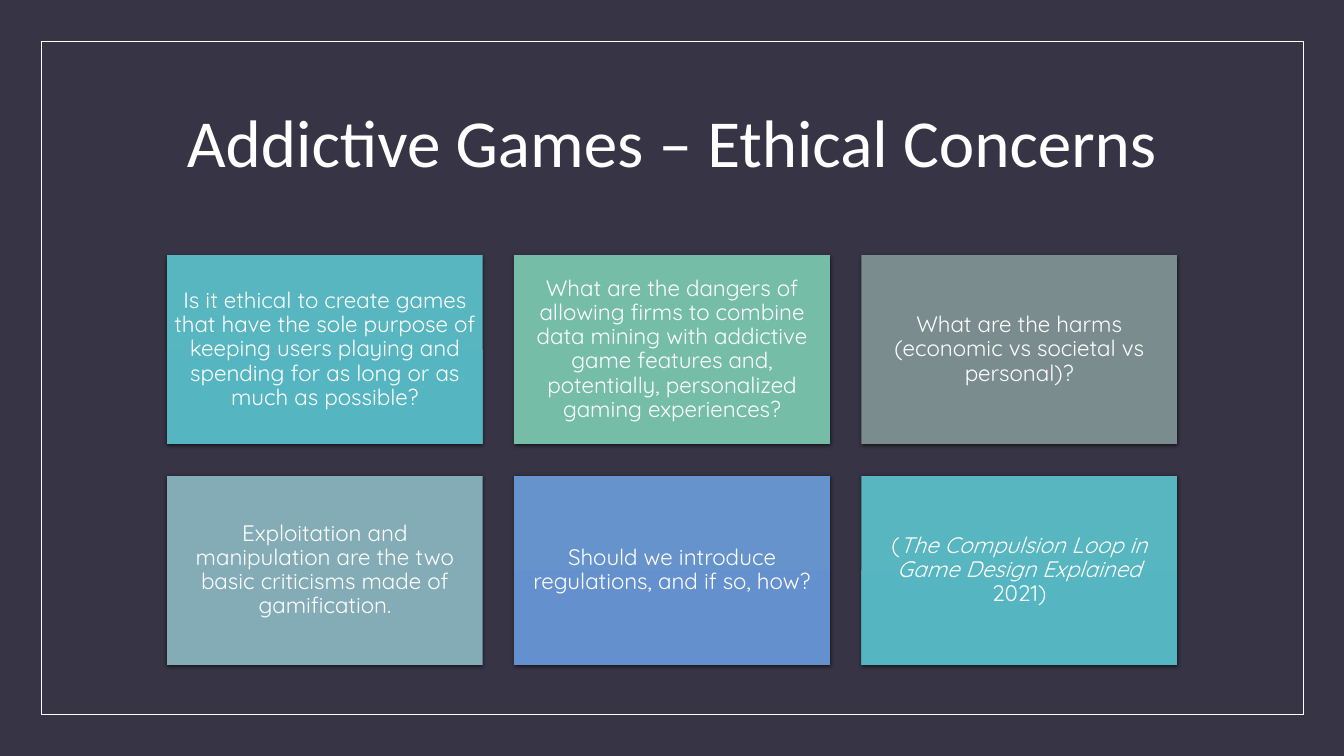
from lxml import etree
from pptx import Presentation
from pptx.dml.color import RGBColor
from pptx.enum import shapes, text
from pptx.oxml import ns
from pptx.util import Pt

WHITE = "FFFFFF"
TITLE = "Addictive Games – Ethical Concerns"
TITLE_FONT = {"name": "Calibri", "size": Pt(48)}
CARD_FONT = {"name": "Quicksand", "size": Pt(16)}
TEAL = ("58B6C0", "55B6C1")

# Each card: top and bottom colour, then its spans as (wording, italic)
CARDS = [
    (TEAL, [("Is it ethical to create games that have the sole purpose of keeping "
             "users playing and spending for as long or as much as possible?", False)]),
    (("75BDA7", "72BDA6"),
     [("What are the dangers of allowing firms to combine data mining with addictive "
       "game features and, potentially, personalized gaming experiences?", False)]),
    (("7A8C8E", "788B8D"),
     [("What are the harms (economic vs societal vs personal)?", False)]),
    (("84ACB6", "82ABB6"),
     [("Exploitation and manipulation are the two basic criticisms made of "
       "gamification.", False)]),
    (("6793CD", "6491CE"),
     [("Should we introduce regulations, and if so, how?", False)]),
    (TEAL, [("(", False), ("The Compulsion Loop in Game Design Explained", True),
            (" 2021)", False)]),
]


def colour(value):
    return RGBColor.from_string(value)


def set_all(target, values):
    for name, value in values.items():
        setattr(target, name, value)


def write(frame, spans, font, inset):
    """Fill a text frame with one centred white paragraph of (wording, italic) spans."""
    set_all(frame, {"word_wrap": True, "auto_size": text.MSO_AUTO_SIZE.NONE,
                    "vertical_anchor": text.MSO_ANCHOR.MIDDLE,
                    "margin_left": inset, "margin_right": inset,
                    "margin_top": inset, "margin_bottom": inset})
    para = frame.paragraphs[0]
    set_all(para, {"alignment": text.PP_ALIGN.CENTER, "line_spacing": 0.9})
    for wording, italic in spans:
        span = para.add_run()
        span.text = wording
        set_all(span.font, {**font, "italic": italic})
        span.font.color.rgb = colour(WHITE)


def add_soft_shadow(shape):
    shape.shadow.inherit = False
    effects = shape._element.spPr.find(ns.qn("a:effectLst"))
    shadow = etree.SubElement(effects, ns.qn("a:outerShdw"), blurRad=str(Pt(3)),
                              dist=str(Pt(1)), dir="5400000", rotWithShape="0")
    black = etree.SubElement(shadow, ns.qn("a:srgbClr"), val="000000")
    etree.SubElement(black, ns.qn("a:alpha"), val="63000")


def add_frame(page, left, top, width, height):
    border = page.shapes.add_shape(shapes.MSO_SHAPE.RECTANGLE, left, top, width, height)
    border.shadow.inherit = False
    border.fill.background()
    border.line.color.rgb = colour(WHITE)
    border.line.width = Pt(0.5)


def add_title(page, left, top, width, height):
    title = page.shapes.title
    set_all(title, {"left": left, "top": top, "width": width, "height": height})
    write(title.text_frame, [(TITLE, False)], TITLE_FONT, Pt(5))


def add_card(page, left, top, width, height, colours, spans):
    card = page.shapes.add_shape(shapes.MSO_SHAPE.RECTANGLE, left, top, width, height)
    card.line.fill.background()
    card.fill.gradient()
    card.fill.gradient_angle = 270
    for stop, value in zip(card.fill.gradient_stops, colours):
        stop.color.rgb = colour(value)
    add_soft_shadow(card)
    write(card.text_frame, spans, CARD_FONT, Pt(4.8))


def add_card_grid(page, left, top, width, height, columns=3, rows=2, gap=Pt(22.5)):
    card_width = (width - (columns - 1) * gap) // columns
    card_height = (height - (rows - 1) * gap) // rows
    for index, (colours, spans) in enumerate(CARDS):
        row, column = divmod(index, columns)
        add_card(page, left + column * (card_width + gap), top + row * (card_height + gap),
                 card_width, card_height, colours, spans)


def main():
    deck = Presentation()
    set_all(deck, {"slide_width": Pt(960), "slide_height": Pt(540)})
    page = deck.slides.add_slide(deck.slide_layouts[5])
    page.background.fill.solid()
    page.background.fill.fore_color.rgb = colour("373545")
    add_frame(page, Pt(29.5), Pt(29.5), Pt(901.5), Pt(481))
    add_title(page, Pt(84), Pt(50.4), Pt(792), Pt(108))
    add_card_grid(page, Pt(119.3), Pt(182.1), Pt(721.5), Pt(293))
    deck.save("out.pptx")


if __name__ == "__main__":
    main()
